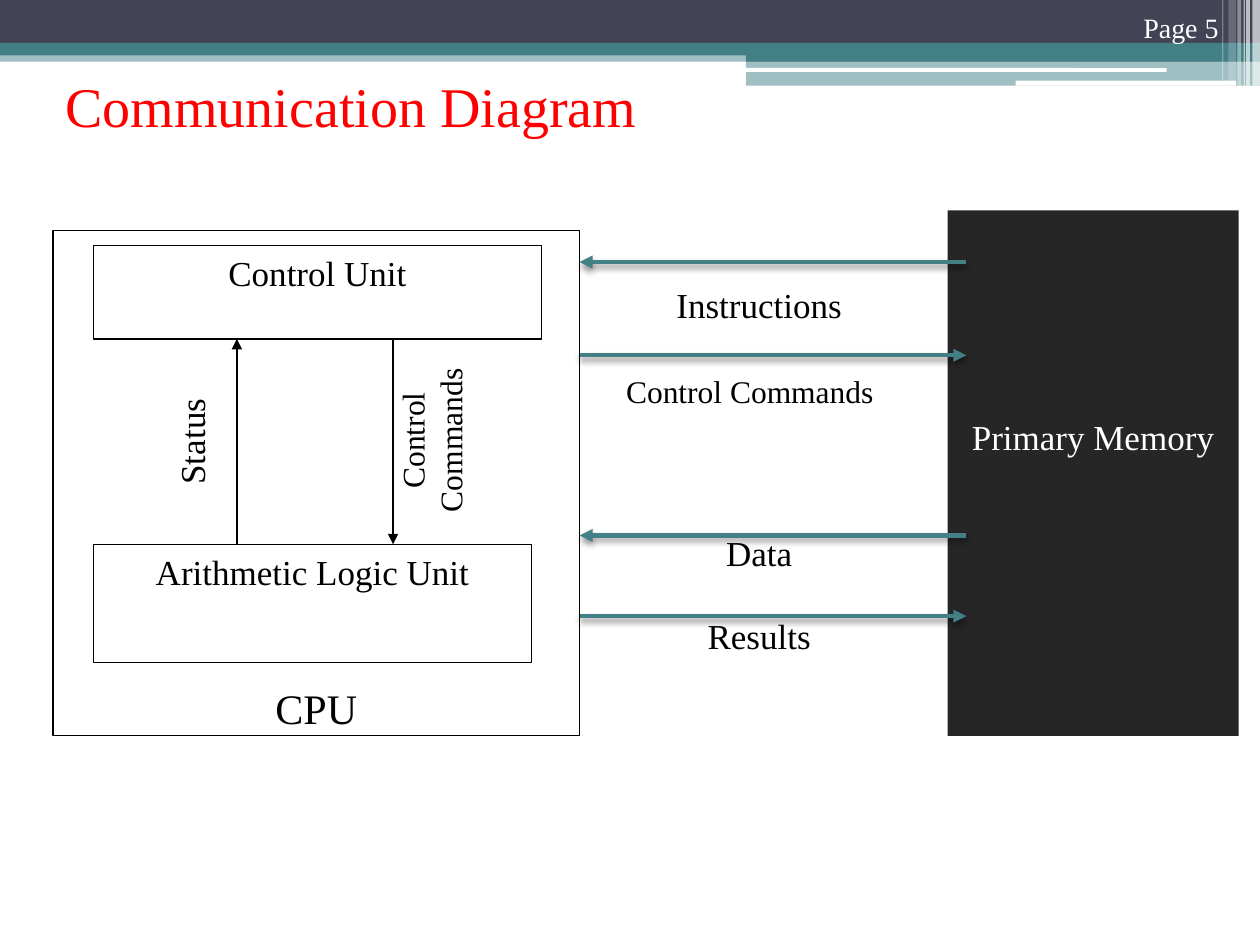
from dataclasses import dataclass, field
from typing import Any, Optional

from pptx import Presentation
from pptx.dml.color import RGBColor
from pptx.enum.shapes import MSO_CONNECTOR as Connector, MSO_SHAPE as Preset
from pptx.enum.text import MSO_ANCHOR as Anchor, PP_ALIGN as Align
from pptx.oxml import parse_xml
from pptx.oxml.ns import nsdecls, qn
from pptx.util import Inches, Pt

BLACK = RGBColor(0x00, 0x00, 0x00)
WHITE = RGBColor(0xFF, 0xFF, 0xFF)
RED = RGBColor(0xFF, 0x00, 0x00)
TEAL = RGBColor(0x43, 0x80, 0x86)
SLATE = RGBColor(0x42, 0x44, 0x56)
CHARCOAL = RGBColor(0x26, 0x26, 0x26)
FONT = "Times New Roman"
CPU_EDGE, MEMORY_EDGE = 4.6, 7.67
FLOW_LEFT, FLOW_WIDTH = 4.87, 2.31


@dataclass
class Band:
    left: float
    top: float
    width: float
    height: float
    color: RGBColor
    opacity: int = 100
    preset: Preset = Preset.RECTANGLE


@dataclass
class Block:
    label: str
    left: float
    top: float
    width: float
    height: float
    size: int = 20
    fill: RGBColor = WHITE
    ink: RGBColor = BLACK
    outlined: bool = False
    align: Align = Align.CENTER
    vertical: bool = False
    frame: dict[str, Any] = field(default_factory=dict)


@dataclass
class Arrow:
    x1: float
    y1: float
    x2: float
    y2: float
    color: RGBColor = BLACK
    width: float = 0.75
    shadowed: bool = False


def apply(target: Any, values: dict[str, Any]) -> None:
    for name, value in values.items():
        setattr(target, name, value)


def write(holder: Any, text: str, size: int, color: RGBColor, align: Align,
          frame_format: dict[str, Any]) -> None:
    frame = holder.text_frame
    frame.text = text
    apply(frame, {"word_wrap": True, **frame_format})
    paragraph = frame.paragraphs[0]
    apply(paragraph, {"alignment": align})
    font = paragraph.runs[0].font
    apply(font, {"name": FONT, "size": Pt(size)})
    font.color.rgb = color


def add_filled(shapes: Any, part: Band | Block, preset: Preset, color: RGBColor) -> Any:
    shape = shapes.add_shape(preset, Inches(part.left), Inches(part.top),
                             Inches(part.width), Inches(part.height))
    shape.shadow.inherit = False
    shape.fill.solid()
    shape.fill.fore_color.rgb = color
    shape.line.fill.background()
    return shape


def draw_band(shapes: Any, band: Band) -> None:
    shape = add_filled(shapes, band, band.preset, band.color)
    if band.opacity < 100:
        tint = shape.element.spPr.find(qn("a:solidFill"))[0]
        tint.append(parse_xml(f'<a:alpha {nsdecls("a")} val="{band.opacity * 1000}"/>'))


def draw_block(shapes: Any, block: Block) -> None:
    shape = add_filled(shapes, block, Preset.RECTANGLE, block.fill)
    if block.outlined:
        shape.line.color.rgb = BLACK
        shape.line.width = Pt(0.75)
    write(shape, block.label, block.size, block.ink, block.align,
          {"vertical_anchor": Anchor.TOP, **block.frame})
    if block.vertical:
        shape.element.txBody.find(qn("a:bodyPr")).set("vert", "vert270")


def draw_arrow(shapes: Any, arrow: Arrow) -> None:
    line = shapes.add_connector(Connector.STRAIGHT, Inches(arrow.x1), Inches(arrow.y1),
                                Inches(arrow.x2), Inches(arrow.y2))
    line.line.color.rgb = arrow.color
    line.line.width = Pt(arrow.width)
    properties = line.element.spPr
    properties.find(qn("a:ln")).append(parse_xml(f'<a:tailEnd {nsdecls("a")} type="triangle"/>'))
    shadow: Optional[str] = (
        f'<a:outerShdw blurRad="{Pt(4)}" dist="{Pt(2)}" dir="5400000" rotWithShape="0">'
        '<a:srgbClr val="000000"><a:alpha val="45000"/></a:srgbClr></a:outerShdw>'
        if arrow.shadowed else "")
    properties.append(parse_xml(f'<a:effectLst {nsdecls("a")}>{shadow}</a:effectLst>'))


def flow(y: float, to_memory: bool) -> Arrow:
    start, end = (CPU_EDGE, MEMORY_EDGE) if to_memory else (MEMORY_EDGE, CPU_EDGE)
    return Arrow(start, y, end, y, TEAL, 2.5, True)


BANDS = [
    Band(0, 0.4, 10, 0.09, TEAL, 50),
    Band(0, 0, 10, 0.34, SLATE),
    Band(0, 0.34, 10, 0.1, TEAL),
    Band(5.92, 0.39, 4.08, 0.1, TEAL),
    Band(5.92, 0.48, 4.08, 0.2, TEAL, 50),
    Band(5.91, 0.54, 3.35, 0.03, WHITE, preset=Preset.ROUNDED_RECTANGLE),
    Band(8.06, 0.64, 1.75, 0.04, WHITE, preset=Preset.ROUNDED_RECTANGLE),
] + [
    Band(left, 0, width, height, WHITE, opacity)
    for left, width, height, opacity in [
        (9.94, 0.06, 0.68, 65), (9.89, 0.03, 0.68, 65), (9.87, 0.01, 0.68, 60),
        (9.82, 0.03, 0.68, 40), (9.75, 0.06, 0.64, 20), (9.7, 0.01, 0.64, 30)]
]

CPU_BLOCKS = [
    Block("CPU", 0.42, 1.83, 4.18, 4.01, 24, outlined=True,
          frame={"vertical_anchor": Anchor.BOTTOM, "margin_bottom": Inches(0.02)}),
    Block("Control Unit", 0.74, 1.95, 3.56, 0.74, outlined=True),
    Block("Arithmetic Logic Unit", 0.74, 4.32, 3.48, 0.94, outlined=True),
    Block("Status", 1.3, 2.83, 0.69, 1.35, vertical=True),
    Block("Control Commands", 3.07, 2.82, 1.02, 1.35, 18, vertical=True),
]
CPU_ARROWS = [Arrow(1.88, 4.32, 1.88, 2.69), Arrow(3.12, 2.69, 3.12, 4.32)]

MEMORY_BLOCKS = [
    Block("Primary Memory", 7.52, 1.67, 2.31, 4.17, fill=CHARCOAL, ink=WHITE,
          frame={"margin_top": Inches(1.63)}),
    Block("Control Commands", FLOW_LEFT, 2.9, FLOW_WIDTH, 0.54, 18, align=Align.LEFT),
] + [
    Block(label, FLOW_LEFT, top, FLOW_WIDTH, 0.49)
    for label, top in [("Instructions", 2.2), ("Results", 4.83), ("Data", 4.17)]
]
FLOWS = [flow(2.08, False), flow(2.82, True), flow(4.89, True), flow(4.25, False)]


def main() -> None:
    deck = Presentation()
    apply(deck, {"slide_width": Inches(10), "slide_height": Inches(7.5)})
    slide = deck.slides.add_slide(deck.slide_layouts[5])
    shapes = slide.shapes

    for band in BANDS:
        draw_band(shapes, band)

    title = shapes.title
    apply(title, {"left": Inches(0.42), "top": Inches(0.5),
                  "width": Inches(5.5), "height": Inches(0.67)})
    write(title, "Communication Diagram", 32, RED, Align.LEFT,
          {"vertical_anchor": Anchor.MIDDLE})
    page = shapes.add_textbox(Inches(8.33), Inches(0), Inches(1.44), Inches(0.4))
    write(page, "Page 5", 16, WHITE, Align.RIGHT, {"vertical_anchor": Anchor.BOTTOM})

    for blocks, arrows in [(CPU_BLOCKS, CPU_ARROWS), (MEMORY_BLOCKS, FLOWS)]:
        for block in blocks:
            draw_block(shapes, block)
        for arrow in arrows:
            draw_arrow(shapes, arrow)

    deck.save("out.pptx")


if __name__ == "__main__":
    main()
